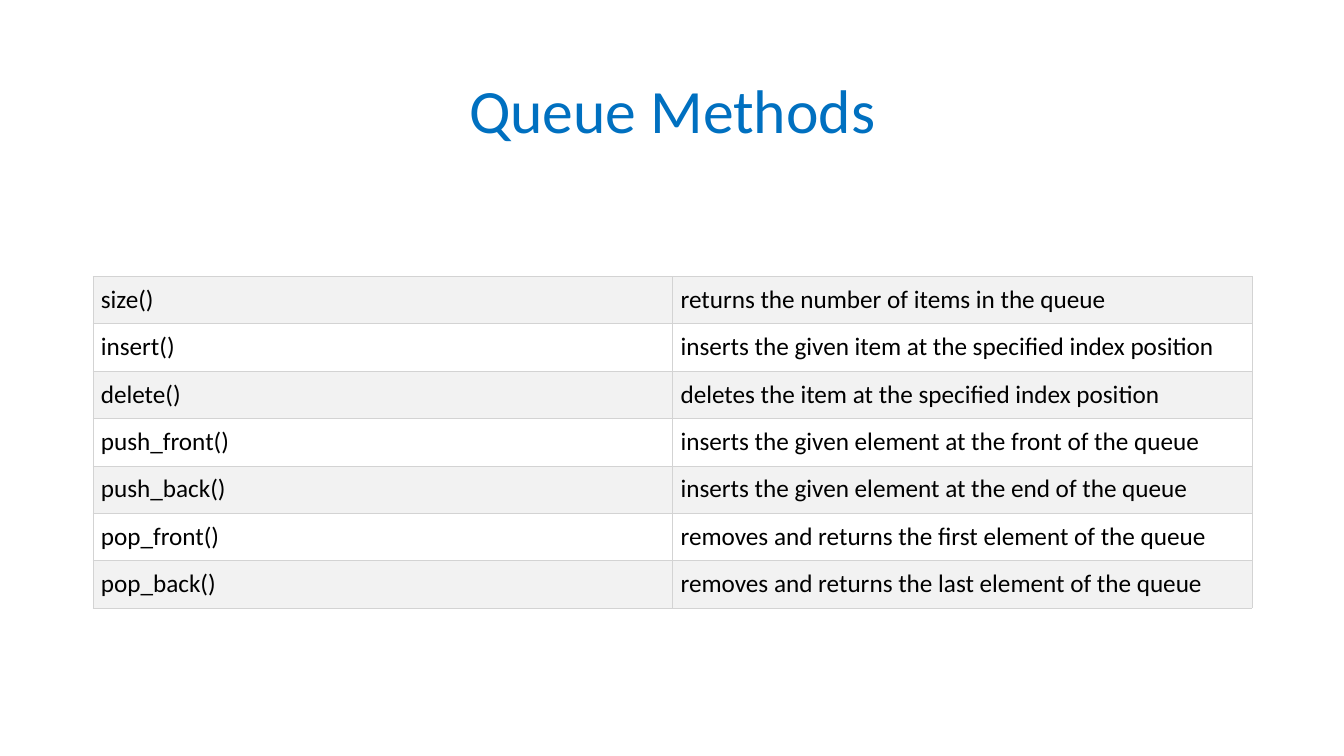
from lxml import etree
from pptx import Presentation
from pptx.dml.color import RGBColor
from pptx.enum import text
from pptx.oxml.ns import qn
from pptx.util import Inches, Pt

# Content
TITLE = "Queue Methods"
ROWS = [
    ("size()", "returns the number of items in the queue"),
    ("insert()", "inserts the given item at the specified index position"),
    ("delete()", "deletes the item at the specified index position"),
    ("push_front()", "inserts the given element at the front of the queue"),
    ("push_back()", "inserts the given element at the end of the queue"),
    ("pop_front()", "removes and returns the first element of the queue"),
    ("pop_back()", "removes and returns the last element of the queue"),
]
COLORS = {"title": "0070C0", "text": "000000", "band": "F2F2F2", "line": "D3D3D3"}
FONT = "Calibri"
LEFT, WIDTH = Inches(0.92), Inches(11.5)
ROW_H, PAD = Inches(0.47), Inches(0.08)
LINE_W = Pt(0.1)


def style(para, size, color):
    for run in para.runs:
        run.font.name = FONT
        run.font.size = Pt(size)
        run.font.color.rgb = RGBColor.from_string(COLORS[color])


def add_edges(cell):
    props = cell._tc.get_or_add_tcPr()
    for spot, side in enumerate(("lnL", "lnR", "lnT", "lnB")):
        line = etree.Element(qn("a:" + side), w=str(int(LINE_W)))
        fill = etree.SubElement(line, qn("a:solidFill"))
        etree.SubElement(fill, qn("a:srgbClr"), val=COLORS["line"])
        props.insert(spot, line)


def add_title(slide):
    box = slide.shapes.add_textbox(LEFT, Inches(0.4), WIDTH, Inches(1.45))
    frame = box.text_frame
    frame.text = TITLE
    frame.word_wrap = True
    frame.vertical_anchor = text.MSO_ANCHOR.MIDDLE
    para = frame.paragraphs[0]
    para.alignment = text.PP_ALIGN.CENTER
    para.line_spacing = 0.9
    style(para, 44, "title")


def add_methods(slide):
    table = slide.shapes.add_table(
        len(ROWS), 2, LEFT, Inches(2.74), WIDTH, ROW_H * len(ROWS)
    ).table
    table.first_row = table.horz_banding = False
    for r, row in enumerate(ROWS):
        table.rows[r].height = ROW_H
        for c, words in enumerate(row):
            cell = table.cell(r, c)
            cell.text_frame.text = words
            cell.vertical_anchor = text.MSO_ANCHOR.MIDDLE
            cell.margin_left = cell.margin_right = PAD
            cell.margin_top = cell.margin_bottom = PAD
            style(cell.text_frame.paragraphs[0], 18, "text")
            # Every other row is shaded
            if r % 2 == 0:
                cell.fill.solid()
                cell.fill.fore_color.rgb = RGBColor.from_string(COLORS["band"])
            else:
                cell.fill.background()
            add_edges(cell)


def main():
    deck = Presentation()
    deck.slide_width, deck.slide_height = Inches(13.33), Inches(7.5)
    slide = deck.slides.add_slide(deck.slide_layouts[6])
    add_title(slide)
    add_methods(slide)
    deck.save("out.pptx")


if __name__ == "__main__":
    main()
